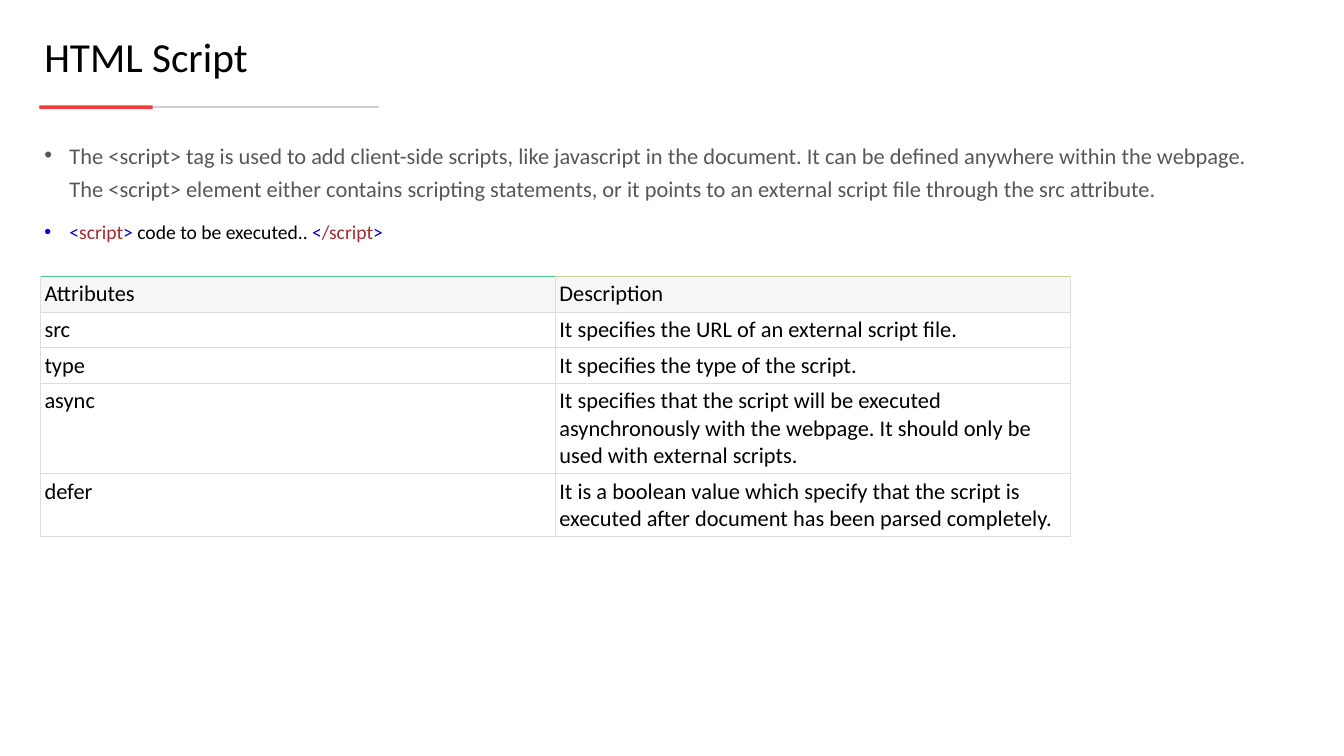
from lxml import etree
from pptx import Presentation
from pptx.dml.color import RGBColor
from pptx.enum.shapes import MSO_CONNECTOR, MSO_SHAPE
from pptx.enum.text import MSO_ANCHOR
from pptx.oxml.ns import qn
from pptx.util import Pt

STRAIGHT = MSO_CONNECTOR.STRAIGHT
RECTANGLE = MSO_SHAPE.RECTANGLE
TOP, MIDDLE, BOTTOM = MSO_ANCHOR.TOP, MSO_ANCHOR.MIDDLE, MSO_ANCHOR.BOTTOM

BLACK, GREY, BLUE, BROWN = "000000", "575757", "0000CD", "A52A2A"
LEFT = 56.16

INTRO = [(
    "The <script> tag is used to add client-side scripts, like javascript in the document. "
    "It can be defined anywhere within the webpage. The <script> element either contains "
    "scripting statements, or it points to an external script file through the src attribute.",
    GREY)]
CODE = [("<", BLUE), ("script", BROWN), (">", BLUE), (" code to be executed.. ", BLACK),
        ("<", BLUE), ("/script", BROWN), (">", BLUE)]
ATTRIBUTES = [
    ("Attributes", "Description"),
    ("src", "It specifies the URL of an external script file."),
    ("type", "It specifies the type of the script."),
    ("async", "It specifies that the script will be executed asynchronously with the webpage. "
              "It should only be used with external scripts."),
    ("defer", "It is a boolean value which specify that the script is executed after "
              "document has been parsed completely."),
]
ROW_HEIGHTS = [51, 51, 51, 129, 90]
HEADER_TOPS = ["50C497", "D0C897"]


def rgb(value):
    return RGBColor.from_string(value)


class SlideBuilder:
    font = "Calibri"
    border = "DDDDDD"

    def __init__(self, slide):
        self.slide = slide

    def line(self, x1, y1, x2, y2, color, width):
        cn = self.slide.shapes.add_connector(STRAIGHT, Pt(x1), Pt(y1), Pt(x2), Pt(y2))
        cn.line.color.rgb = rgb(color)
        cn.line.width = Pt(width)
        etree.SubElement(cn._element.spPr, qn("a:effectLst"))

    def bar(self, x, y, w, h, color):
        sp = self.slide.shapes.add_shape(RECTANGLE, Pt(x), Pt(y), Pt(w), Pt(h))
        sp.shadow.inherit = False
        sp.fill.solid()
        sp.fill.fore_color.rgb = rgb(color)
        sp.line.fill.background()

    def text_box(self, x, y, w, h, anchor=TOP):
        tf = self.slide.shapes.add_textbox(Pt(x), Pt(y), Pt(w), Pt(h)).text_frame
        tf.word_wrap = True
        tf.vertical_anchor = anchor
        return tf

    def runs(self, p, parts, size):
        """Add (text, colour) parts to a paragraph."""
        for text, color in parts:
            r = p.add_run()
            r.text = text
            r.font.name = self.font
            r.font.size = Pt(size)
            r.font.color.rgb = rgb(color)

    def bullet(self, p, parts, size, space_before=0):
        pPr = p._p.get_or_add_pPr()
        pPr.set("marL", str(Pt(36)))
        pPr.set("indent", str(Pt(-36)))
        etree.SubElement(pPr, qn("a:buFont"), typeface="Arial")
        etree.SubElement(pPr, qn("a:buChar"), char="•")
        p.line_spacing = 1.25
        p.space_before = Pt(space_before)
        p.space_after = Pt(12)
        self.runs(p, parts, size)

    def cell(self, cell, text, fill, top, anchor):
        cell.margin_left = cell.margin_right = Pt(6)
        cell.margin_top = cell.margin_bottom = Pt(6)
        cell.vertical_anchor = anchor
        tcPr = cell._tc.get_or_add_tcPr()
        for side in "LRTB":
            ln = etree.SubElement(tcPr, qn(f"a:ln{side}"), w=str(Pt(0.75)))
            solid = etree.SubElement(ln, qn("a:solidFill"))
            color = top if side == "T" else self.border
            etree.SubElement(solid, qn("a:srgbClr"), val=color)
        cell.fill.solid()
        cell.fill.fore_color.rgb = rgb(fill)
        self.runs(cell.text_frame.paragraphs[0], [(text, BLACK)], 32)

    def table(self, x, y, w, rows, heights, header_tops):
        columns = len(rows[0])
        table = self.slide.shapes.add_table(
            len(rows), columns, Pt(x), Pt(y), Pt(w), Pt(sum(heights))).table
        table.first_row = table.horz_banding = False
        for column in table.columns:
            column.width = Pt(w / columns)
        for i, (texts, height) in enumerate(zip(rows, heights)):
            table.rows[i].height = Pt(height)
            for j, text in enumerate(texts):
                if i == 0:
                    self.cell(table.cell(i, j), text, "F7F7F7", header_tops[j], BOTTOM)
                else:
                    self.cell(table.cell(i, j), text, "FFFFFF", self.border, TOP)


def main():
    prs = Presentation()
    prs.slide_width, prs.slide_height = Pt(1920), Pt(1080)
    s = SlideBuilder(prs.slides.add_slide(prs.slide_layouts[6]))

    s.line(LEFT, 152.9, 541.44, 152.9, "CBD0D7", 1.5)
    s.bar(LEFT, 150.5, 162, 5, "F23A43")

    body = s.text_box(LEFT, 189.36, 1743.84, 722.88)
    s.bullet(body.paragraphs[0], INTRO, 32)
    s.bullet(body.add_paragraph(), CODE, 28, space_before=5.6)

    title = s.text_box(LEFT, 42.48, 1803.6, 74.88, MIDDLE)
    s.runs(title.paragraphs[0], [("HTML Script", BLACK)], 59)

    s.table(57.6, 394.56, 1470.96, ATTRIBUTES, ROW_HEIGHTS, HEADER_TOPS)
    prs.save("out.pptx")


if __name__ == "__main__":
    main()
